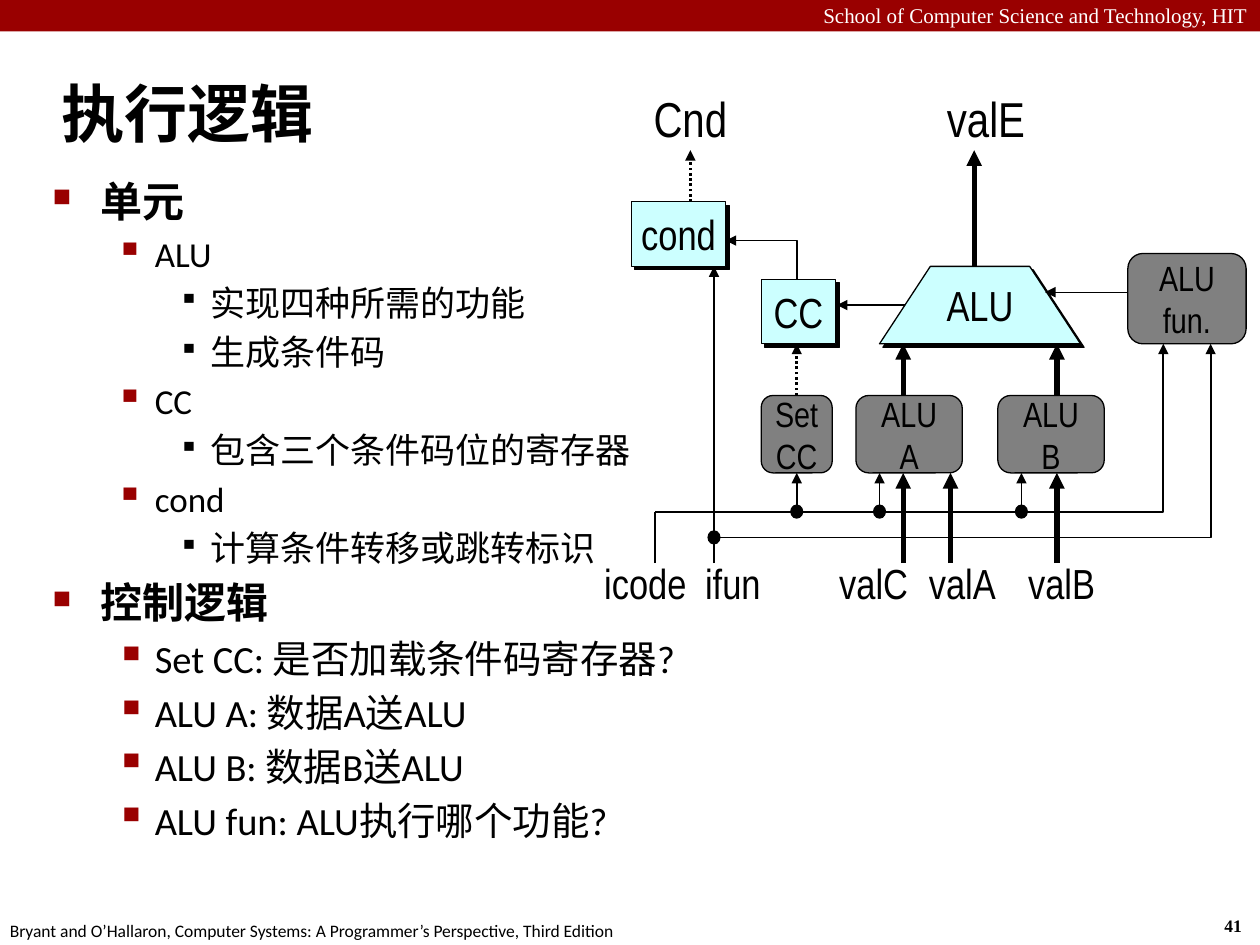
"""Build the slide on execution logic: an outline beside an ALU block diagram."""
import dataclasses

import lxml.etree
import pptx
import pptx.dml.color
import pptx.enum.dml
import pptx.enum.shapes
import pptx.enum.text
import pptx.oxml.ns
import pptx.util

BLACK = pptx.dml.color.RGBColor(0x00, 0x00, 0x00)
WHITE = pptx.dml.color.RGBColor(0xFF, 0xFF, 0xFF)
CRIMSON = pptx.dml.color.RGBColor(0x99, 0x00, 0x00)
CYAN = pptx.dml.color.RGBColor(0xCC, 0xFF, 0xFF)
GRAY = pptx.dml.color.RGBColor(0x80, 0x80, 0x80)

SHAPE = pptx.enum.shapes.MSO_SHAPE
ALIGN = pptx.enum.text.PP_ALIGN
MIDDLE = pptx.enum.text.MSO_ANCHOR.MIDDLE
DOTTED = pptx.enum.dml.MSO_LINE.ROUND_DOT

# level: (left margin, bullet, bullet percent, bullet colour)
LEVELS = {
    0: (0.38, 0.38, "■", 60, CRIMSON),
    1: (0.81, 0.31, "▪", 110, CRIMSON),
    2: (1.25, 0.25, "▪", 80, None),
}
OUTLINE = [
    (0, 24, "单元"),
    (1, 20, "ALU"),
    (2, 20, "实现四种所需的功能"),
    (2, 20, "生成条件码"),
    (1, 20, "CC"),
    (2, 20, "包含三个条件码位的寄存器"),
    (1, 20, "cond"),
    (2, 20, "计算条件转移或跳转标识"),
    (0, 24, "控制逻辑"),
    (1, 22, "Set CC: 是否加载条件码寄存器?"),
    (1, 22, "ALU A: 数据A送ALU"),
    (1, 22, "ALU B: 数据B送ALU"),
    (1, 22, "ALU fun: ALU执行哪个功能?"),
]


@dataclasses.dataclass
class Grid:
    """A box in EMU divided into columns and rows."""
    left: float
    top: float
    width: float
    height: float
    columns: int
    rows: int

    def point(self, column, row):
        """Return the slide position of a grid point."""
        return (round(self.left + self.width * column / self.columns),
                round(self.top + self.height * row / self.rows))

    def box(self, column, row, wide, high):
        """Return left, top, width and height of a block of cells."""
        return (*self.point(column, row), round(self.width * wide / self.columns),
                round(self.height * high / self.rows))


def add_xml(parent, tag, **attributes):
    """Append a DrawingML element and return it."""
    return lxml.etree.SubElement(parent, pptx.oxml.ns.qn(tag), attributes)


def write(frame, text, size, font, color=BLACK, align=ALIGN.LEFT, bold=False, wrap=False):
    """Fill a text frame with evenly formatted paragraphs."""
    frame.text = text
    frame.word_wrap = wrap
    for paragraph in frame.paragraphs:
        paragraph.alignment = align
        style(paragraph, size, font, color, bold)


def style(paragraph, size, font, color=BLACK, bold=False):
    """Format all runs of a paragraph."""
    for run in paragraph.runs:
        run.font.size = pptx.util.Pt(size)
        run.font.name = font
        run.font.bold = bold
        run.font.color.rgb = color


def set_indent(paragraph, margin, hanging):
    """Give a paragraph a hanging indent and return its properties."""
    properties = paragraph._p.get_or_add_pPr()
    properties.set("marL", str(pptx.util.Inches(margin)))
    properties.set("indent", str(-pptx.util.Inches(hanging)))
    return properties


def paint(shape, fill, line=BLACK):
    """Set the fill and outline of a shape without a shadow."""
    shape.shadow.inherit = False
    if fill is None:
        shape.fill.background()
    else:
        shape.fill.solid()
        shape.fill.fore_color.rgb = fill
    if line is None:
        shape.line.fill.background()
    else:
        shape.line.color.rgb = line
        shape.line.width = pptx.util.Pt(0.75)


def cast_shadow(shape):
    """Give a shape a hard black shadow to the lower right."""
    effects = shape.element.spPr.find(pptx.oxml.ns.qn("a:effectLst"))
    shadow = add_xml(effects, "a:outerShdw", blurRad="0", dist=str(pptx.util.Pt(2.8)),
                     dir="2700000", algn="ctr", rotWithShape="0")
    add_xml(shadow, "a:srgbClr", val=str(BLACK))


def add_frame(slide, page):
    """Place the header band, the source line and the page number."""
    paint(slide.shapes.add_shape(SHAPE.RECTANGLE, *page.box(0, 0, 100, 2.5)), CRIMSON, None)
    school = slide.shapes.add_textbox(*page.box(0, -0.3, 100, 3))
    write(school.text_frame, "School of Computer Science and Technology, HIT", 12,
          "Times New Roman", WHITE, ALIGN.RIGHT, wrap=True)
    number = slide.shapes.add_textbox(*page.box(96.2, 72.1, 3.7, 2.7))
    write(number.text_frame, "41", 10, "Times New Roman", bold=True)
    book = slide.shapes.add_textbox(*page.box(-0.2, 72.5, 50.8, 2.7))
    write(book.text_frame, "Bryant and O’Hallaron, Computer Systems: "
          "A Programmer’s Perspective, Third Edition", 10, "Calibri")


def add_title(slide, box):
    """Place and format the slide title."""
    title = slide.shapes.title
    title.left, title.top, title.width, title.height = box
    write(title.text_frame, "执行逻辑", 36, "Calibri", bold=True, wrap=True)
    title.text_frame.vertical_anchor = MIDDLE
    title.text_frame.auto_size = pptx.enum.text.MSO_AUTO_SIZE.NONE
    set_indent(title.text_frame.paragraphs[0], 0.13, 0.13)


def add_outline(slide, box):
    """Write the bulleted outline."""
    frame = slide.shapes.add_textbox(*box).text_frame
    frame.word_wrap = True
    frame.text = "\n".join(text for _, _, text in OUTLINE)
    for index, (paragraph, (level, size, _)) in enumerate(zip(frame.paragraphs, OUTLINE)):
        margin, hanging, mark, percent, color = LEVELS[level]
        paragraph.level = level
        properties = set_indent(paragraph, margin, hanging)
        if color is not None:
            add_xml(add_xml(properties, "a:buClr"), "a:srgbClr", val=str(color))
        add_xml(properties, "a:buSzPct", val=str(percent * 1000))
        add_xml(properties, "a:buChar", char=mark)
        if index:
            paragraph.space_before = pptx.util.Pt(size * 0.2)
        style(paragraph, size, "Calibri", bold=level == 0)


def add_outlined(slide, grid, corners, close):
    """Build a freeform through grid points."""
    points = [grid.point(*corner) for corner in corners]
    builder = slide.shapes.build_freeform(*points[0])
    builder.add_line_segments(points[1:], close=close)
    return builder.convert_to_shape()


def add_wire(slide, grid, width, *corners, arrow=True, dash=None):
    """Draw a wire through grid points, with an arrowhead at its end."""
    if len(corners) == 2:
        ends = grid.point(*corners[0]) + grid.point(*corners[1])
        wire = slide.shapes.add_connector(pptx.enum.shapes.MSO_CONNECTOR.STRAIGHT, *ends)
    else:
        wire = add_outlined(slide, grid, corners, False)
        paint(wire, None)
    wire.line.color.rgb = BLACK
    wire.line.width = pptx.util.Pt(width)
    if dash is not None:
        wire.line.dash_style = dash
    properties = wire.element.spPr
    if arrow:
        add_xml(properties.find(pptx.oxml.ns.qn("a:ln")), "a:tailEnd", type="triangle")
    if len(corners) == 2:
        add_xml(properties, "a:effectLst")


def add_block(slide, grid, kind, cells, text, size, fill=None, line=BLACK):
    """Place a captioned preset shape on the grid."""
    block = slide.shapes.add_shape(kind, *grid.box(*cells))
    paint(block, fill, line)
    caption(block, text, size)
    return block


def caption(block, text, size):
    """Centre a caption in a block."""
    write(block.text_frame, text, size, "Arial Narrow", align=ALIGN.CENTER)
    block.text_frame.vertical_anchor = MIDDLE


def add_diagram(slide, grid):
    """Draw the ALU, its control blocks, signals and wires."""
    add_wire(slide, grid, 0.75, (24, 17), (17.4, 17))
    add_wire(slide, grid, 1, (7, 37), (7, 14))
    for cells, text in [((11, 15, 6.3, 5), "CC"), ((0, 9, 8, 5), "cond")]:
        cast_shadow(add_block(slide, grid, SHAPE.RECTANGLE, cells, text, 24, CYAN))
    alu = add_outlined(slide, grid, [(21, 20), (25.3, 14), (33.7, 14), (38, 20)], True)
    paint(alu, CYAN)
    cast_shadow(alu)
    caption(alu, "ALU", 24)
    for cells, text in [((11, 24, 6, 6), "Set\nCC"), ((19, 24, 9, 6), "ALU\nA"),
                        ((31, 24, 9, 6), "ALU\nB"), ((42, 13, 10, 7), "ALU\nfun.")]:
        add_block(slide, grid, SHAPE.ROUNDED_RECTANGLE, cells, text, 20, GRAY)
    for column, text in [(-1.8, "icode"), (5.6, "ifun"), (17.5, "valC"),
                         (25, "valA"), (33.4, "valB")]:
        add_block(slide, grid, SHAPE.OVAL, (column, 36, 6, 5), text, 24, line=None)
    for column, wide, text in [(2, 6, "Cnd"), (26, 8, "valE")]:
        add_block(slide, grid, SHAPE.OVAL, (column, 0, wide, 5), text, 28, line=None)
    for column, start, end in [(29, 14, 5), (23, 24, 20), (36, 24, 20),
                               (23, 37, 30), (27, 37, 30), (36, 37, 30)]:
        add_wire(slide, grid, 3, (column, start), (column, end))
    for column, start, end in [(5, 9, 5), (14, 24, 20)]:
        add_wire(slide, grid, 1.5, (column, start), (column, end), dash=DOTTED)
    add_wire(slide, grid, 0.75, (42, 16), (35, 16))
    add_wire(slide, grid, 1, (2, 37), (2, 33), arrow=False)
    add_wire(slide, grid, 1, (2, 33), (45, 33), (45, 20))
    add_wire(slide, grid, 1, (7, 35), (49, 35), (49, 20))
    add_wire(slide, grid, 1, (14, 15), (14, 12), (8, 12))
    for column in (14, 21, 33):
        add_wire(slide, grid, 1, (column, 33), (column, 30))
    for column, row in [(14, 33), (21, 33), (33, 33), (7, 35)]:
        junction = grid.box(column - 0.5, row - 0.5, 1, 1)
        paint(slide.shapes.add_shape(SHAPE.OVAL, *junction), BLACK)


def main():
    """Build and save the slide."""
    deck = pptx.Presentation()
    deck.slide_width, deck.slide_height = pptx.util.Inches(10), pptx.util.Inches(7.5)
    slide = deck.slides.add_slide(deck.slide_layouts[5])
    page = Grid(0, 0, deck.slide_width, deck.slide_height, 100, 75)
    add_frame(slide, page)
    add_title(slide, page.box(3.9, 4.8, 96.1, 8.3))
    add_outline(slide, page.box(3.2, 13.4, 53.5, 58))
    add_diagram(slide, Grid(*page.box(50.1, 6.8, 48.8, 42), 52, 41))
    deck.save("out.pptx")


if __name__ == "__main__":
    main()
